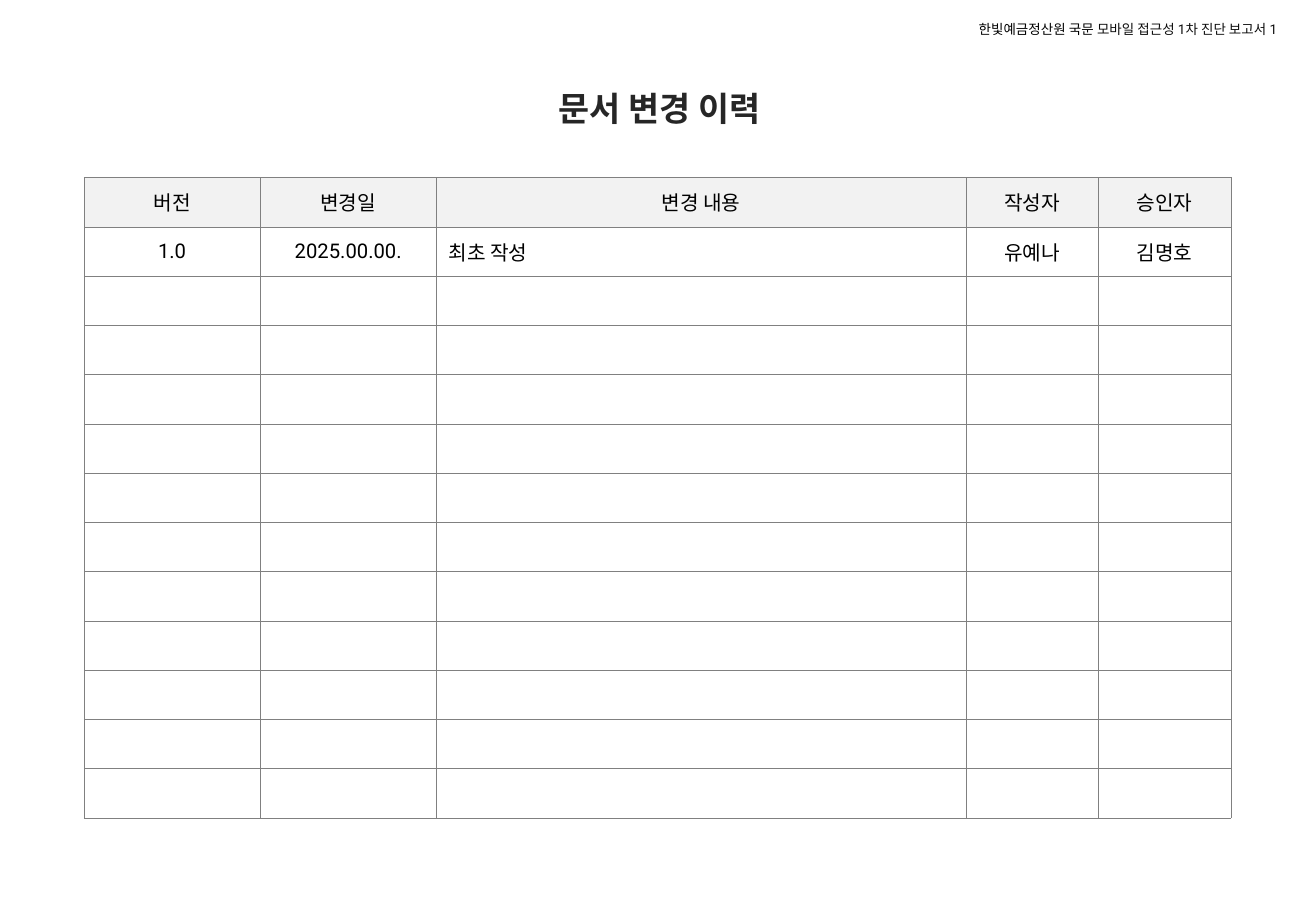
from lxml.etree import SubElement
from pptx import Presentation
from pptx.dml.color import RGBColor
from pptx.enum.text import MSO_ANCHOR as ANCHOR, PP_ALIGN as ALIGN
from pptx.oxml.ns import qn
from pptx.util import Pt

HEADINGS = ["버전", "변경일", "변경 내용", "작성자", "승인자"]
HISTORY = [["1.0", "2025.00.00.", "최초 작성", "유예나", "김명호"]]
COL_WIDTHS = [104.4, 104.4, 314, 78.5, 78.5]
ROW_COUNT = 13
NOTE_COL = 2


def rgb(value):
    """Turn a hex string into a colour."""
    return RGBColor.from_string(value)


def add_text(p, text, size=12, font="Roboto", color="000000", bold=False, align=ALIGN.CENTER):
    """Append one formatted run to a paragraph."""
    p.alignment = align
    r = p.add_run()
    r.text = text
    r.font.size = Pt(size)
    r.font.name = font
    r.font.bold = bold
    r.font.color.rgb = rgb(color)


def set_frame(tf, right=0):
    """Centre a text frame vertically and clear its insets."""
    tf.word_wrap = True
    tf.vertical_anchor = ANCHOR.MIDDLE
    tf.margin_left = tf.margin_top = tf.margin_bottom = 0
    tf.margin_right = Pt(right)


def set_borders(cell, color="808080", width=0.25):
    """Draw a thin line on all four sides of a cell."""
    tc_pr = cell._tc.get_or_add_tcPr()
    for position, side in enumerate(("lnL", "lnR", "lnT", "lnB")):
        ln = SubElement(tc_pr, qn(f"a:{side}"), w=str(Pt(width)))
        fill = SubElement(ln, qn("a:solidFill"))
        SubElement(fill, qn("a:srgbClr"), val=color)
        tc_pr.insert(position, ln)


def add_header(s, left, top, width, height):
    """Place the running report header with its page number."""
    tf = s.shapes.add_textbox(Pt(left), Pt(top), Pt(width), Pt(height)).text_frame
    set_frame(tf, right=2)
    p = tf.paragraphs[0]
    add_text(p, "한빛예금정산원 국문", size=8, align=ALIGN.RIGHT)
    add_text(p, " 모바일 접근성 1차 진단 보고서 1", size=8, color="0D0D0D", align=ALIGN.RIGHT)


def add_title(s, left, top, width, height):
    """Place the slide title."""
    title = s.shapes.title
    title.left, title.top, title.width, title.height = map(Pt, (left, top, width, height))
    set_frame(title.text_frame)
    add_text(title.text_frame.paragraphs[0], "문서 변경 이력",
             size=20, font="Cabin", color="262626", bold=True)


def add_history(s, left, top, width, height):
    """Place the change history table with its blank rows."""
    table = s.shapes.add_table(ROW_COUNT, len(HEADINGS), Pt(left), Pt(top),
                               Pt(width), Pt(height)).table
    table.first_row = table.horz_banding = False
    for column, col_width in zip(table.columns, COL_WIDTHS):
        column.width = Pt(col_width)
    for row in table.rows:
        row.height = Pt(height / ROW_COUNT)
    for cell in table.iter_cells():
        cell.vertical_anchor = ANCHOR.MIDDLE
        cell.margin_top = cell.margin_bottom = 0
        cell.fill.background()
        set_borders(cell)
    for i, values in enumerate([HEADINGS] + HISTORY):
        for j, value in enumerate(values):
            cell = table.cell(i, j)
            is_note = i > 0 and j == NOTE_COL
            add_text(cell.text_frame.paragraphs[0], value,
                     align=ALIGN.LEFT if is_note else ALIGN.CENTER)
            if i == 0:
                cell.fill.solid()
                cell.fill.fore_color.rgb = rgb("F2F2F2")


def main():
    """Build and save the document history slide."""
    prs = Presentation()
    prs.slide_width, prs.slide_height = Pt(780), Pt(540)
    s = prs.slides.add_slide(prs.slide_layouts[5])
    add_header(s, 460, 10, 299, 14.4)
    add_title(s, 51, 52, 680, 24.5)
    add_history(s, 49.8, 105.2, sum(COL_WIDTHS), 379.6)
    prs.save("out.pptx")


if __name__ == "__main__":
    main()
